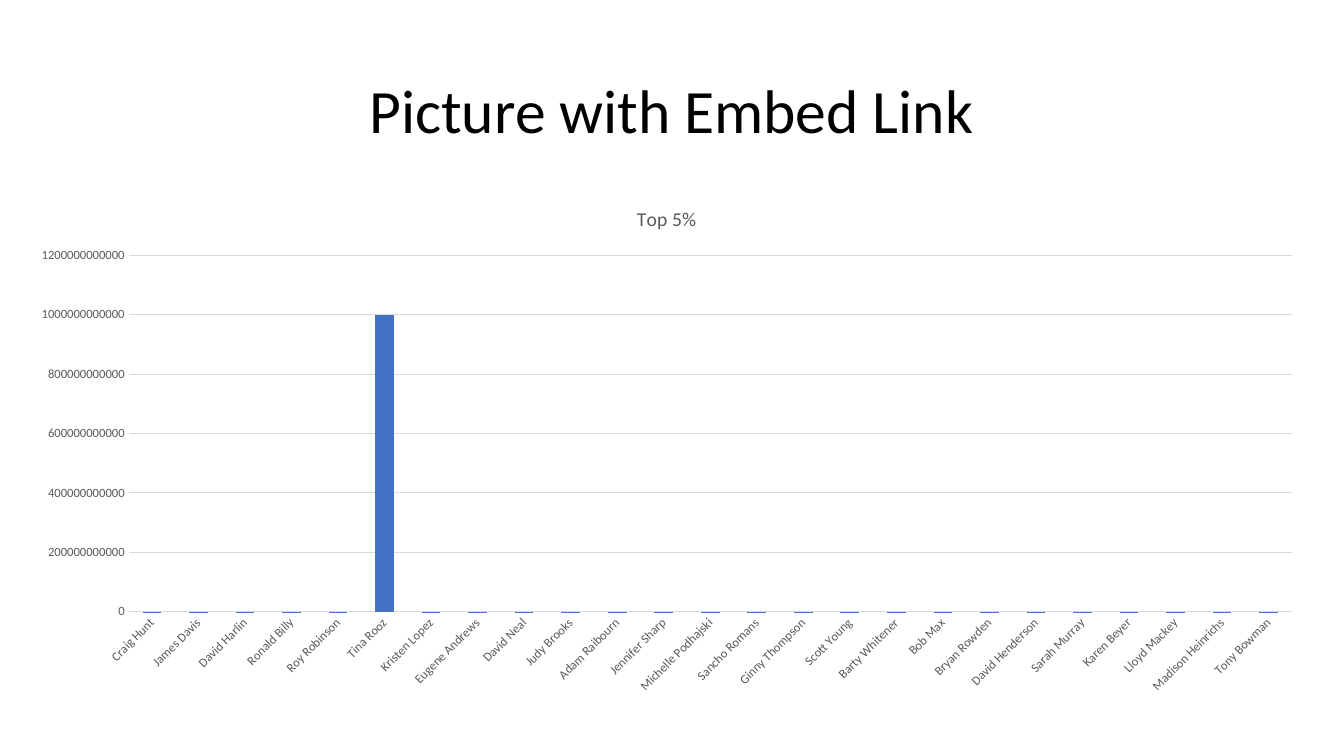
import pptx
import pptx.chart.data
import pptx.dml.color
import pptx.enum.chart
import pptx.enum.text
import pptx.oxml.ns
import pptx.util

Pt = pptx.util.Pt
RGBColor = pptx.dml.color.RGBColor

BLACK = RGBColor(0x00, 0x00, 0x00)
GRAY = RGBColor(0x59, 0x59, 0x59)
LIGHT_GRAY = RGBColor(0xD9, 0xD9, 0xD9)
BLUE = RGBColor(0x44, 0x72, 0xC4)
FONT = "Calibri"

SCORES = [
    ("Craig Hunt", 76), ("James Davis", 54), ("David Harlin", 40),
    ("Ronald Billy", 40), ("Roy Robinson", 25), ("Tina Rooz", 1000000000000),
    ("Kristen Lopez", 20), ("Eugene Andrews", 19), ("David Neal", 17),
    ("Judy Brooks", 17), ("Adam Raibourn", 16), ("Jennifer Sharp", 16),
    ("Michelle Podhajski", 15), ("Sancho Romans", 15), ("Ginny Thompson", 14),
    ("Scott Young", 14), ("Barty Whitener", 13), ("Bob Max", 13),
    ("Bryan Rowden", 13), ("David Henderson", 13), ("Sarah Murray", 13),
    ("Karen Beyer", 12), ("Lloyd Mackey", 12), ("Madison Heinrichs", 12),
    ("Tony Bowman", 12),
]


def set_font(font, size, color):
    font.name = FONT
    font.size = Pt(size)
    font.bold = False
    font.color.rgb = color


prs = pptx.Presentation()
prs.slide_width, prs.slide_height = Pt(960), Pt(540)
s = prs.slides.add_slide(prs.slide_layouts[5])

# Title
sp = s.shapes.title
sp.left, sp.top, sp.width, sp.height = Pt(66), Pt(28.75), Pt(828), Pt(104.4)
tf = sp.text_frame
tf.word_wrap = True
tf.vertical_anchor = pptx.enum.text.MSO_ANCHOR.MIDDLE
p = tf.paragraphs[0]
p.alignment = pptx.enum.text.PP_ALIGN.CENTER
p.line_spacing = 0.9
r = p.add_run()
r.text = "Picture with Embed Link"
set_font(r.font, 44, BLACK)

# Chart data and frame
data = pptx.chart.data.CategoryChartData()
data.categories = [name for name, score in SCORES]
data.add_series("Series 1", [score for name, score in SCORES])
chart = s.shapes.add_chart(
    pptx.enum.chart.XL_CHART_TYPE.COLUMN_STACKED,
    Pt(11.15), Pt(132.9), Pt(930.24), Pt(370.08), data).chart
set_font(chart.font, 10, BLACK)
chart.has_legend = False

# Chart title
chart.has_title = True
chart.chart_title.include_in_layout = False
r = chart.chart_title.text_frame.paragraphs[0].add_run()
r.text = "Top 5%"
set_font(r.font, 14, GRAY)

# Columns
plot = chart.plots[0]
plot.gap_width = 150
plot.overlap = 100
plot.vary_by_categories = False
fill = plot.series[0].format.fill
fill.solid()
fill.fore_color.rgb = BLUE

# Axes
for axis in (chart.category_axis, chart.value_axis):
    axis.major_tick_mark = pptx.enum.chart.XL_TICK_MARK.NONE
    axis.minor_tick_mark = pptx.enum.chart.XL_TICK_MARK.NONE
    set_font(axis.tick_labels.font, 9, GRAY)
    # Label angle is chosen automatically
    labels = axis._element.find(pptx.oxml.ns.qn("c:txPr"))
    labels.find(pptx.oxml.ns.qn("a:bodyPr")).set("rot", "-60000000")

chart.value_axis.format.line.fill.background()
chart.value_axis.has_major_gridlines = True
for line in (chart.category_axis.format.line,
             chart.value_axis.major_gridlines.format.line):
    line.color.rgb = LIGHT_GRAY
    line.width = Pt(0.75)

prs.save("out.pptx")
